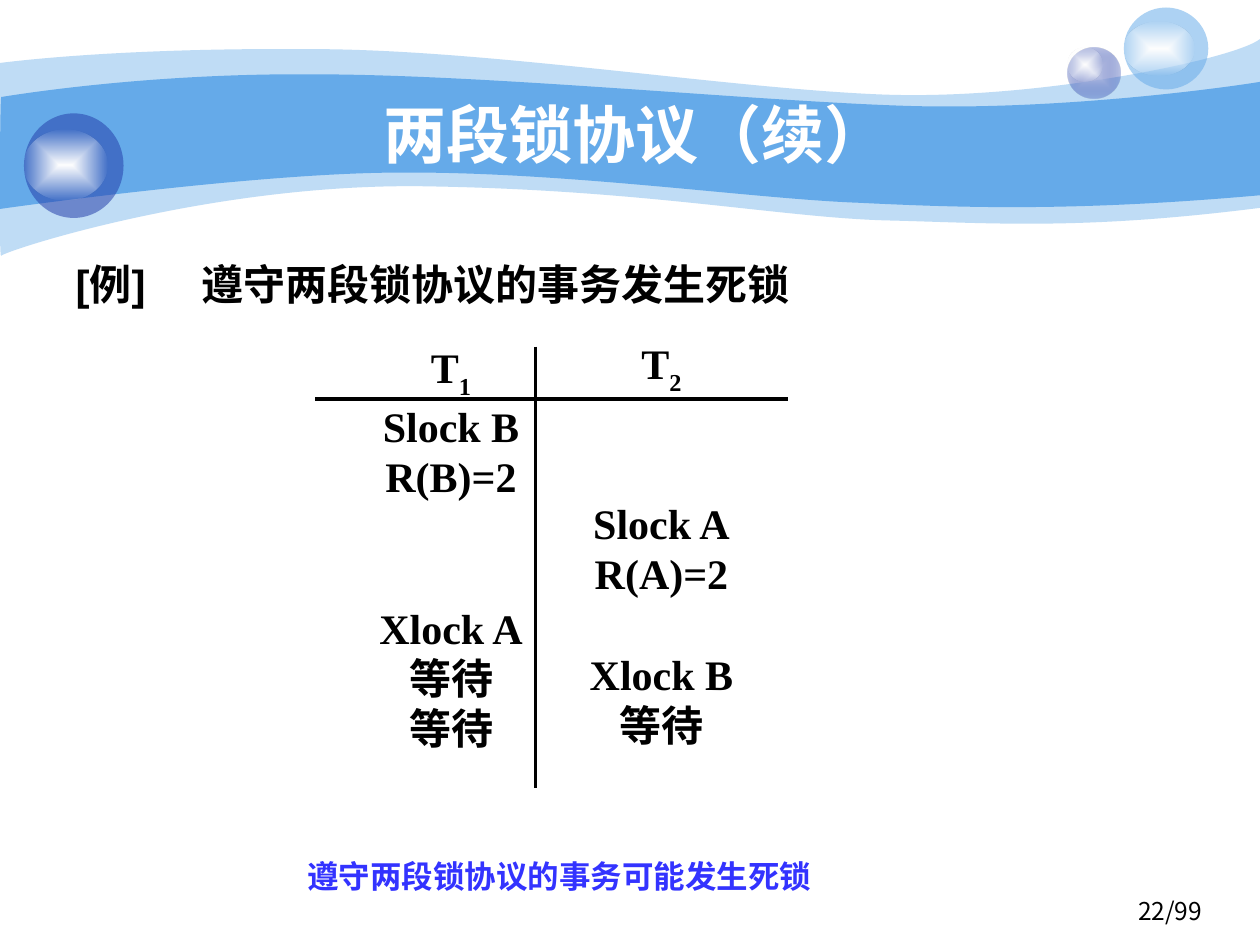
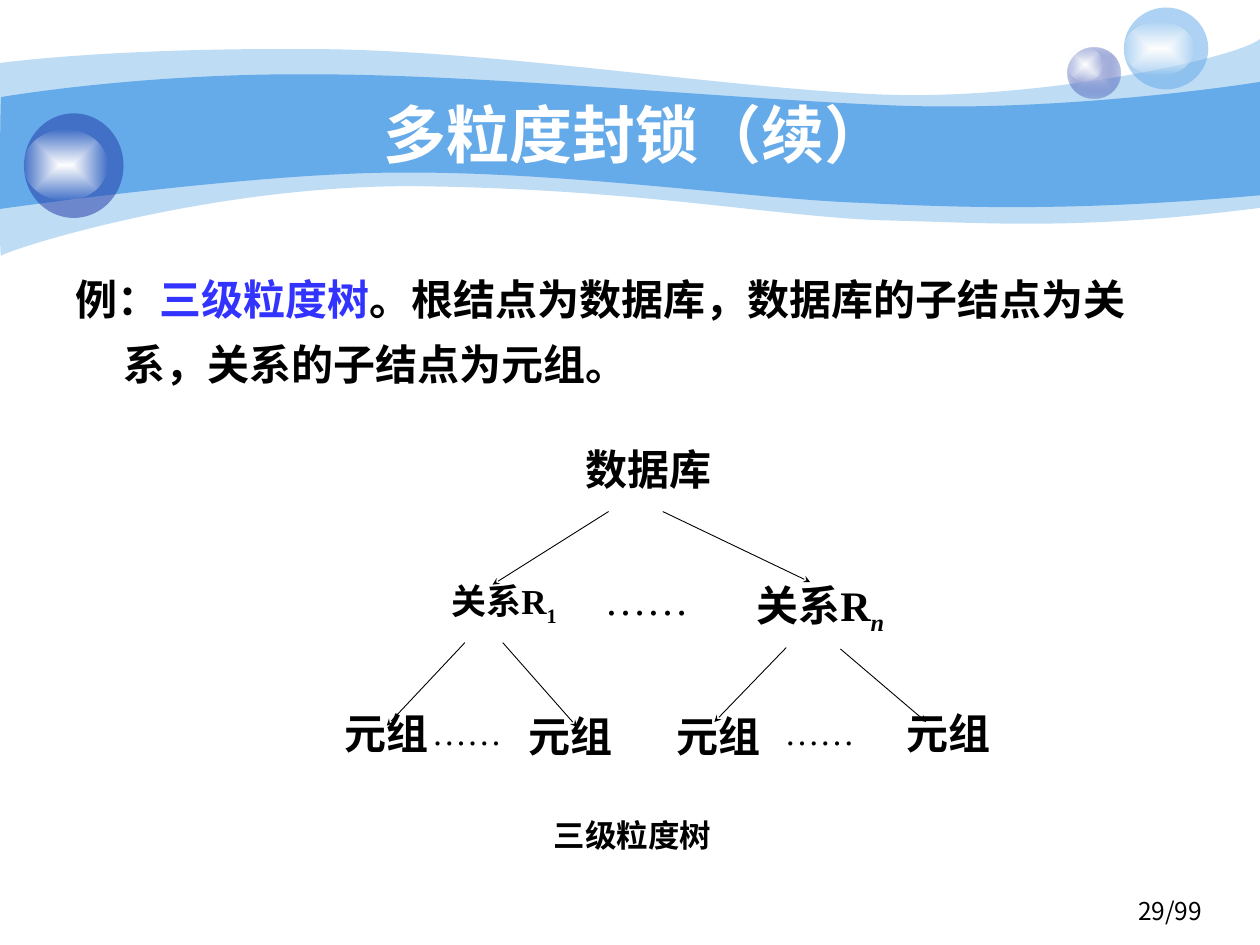
from lxml import etree
from pptx import Presentation
from pptx import util as u
from pptx.dml.color import RGBColor
from pptx.enum import shapes, text
from pptx.oxml import parse_xml
from pptx.oxml.ns import nsdecls, qn

SKY = RGBColor(0x65, 0xAA, 0xE9)
NAVY = RGBColor(0x23, 0x3D, 0xA9)
PALE = RGBColor(0xC7, 0xCE, 0xE9)
BLUE = RGBColor(0x33, 0x33, 0xFF)
WHITE = RGBColor(0xFF, 0xFF, 0xFF)
BLACK = RGBColor(0, 0, 0)
SANS, SERIF, HAN = "Arial", "Times New Roman", "Noto Sans CJK SC"
LEFT, MID, RIGHT = text.PP_ALIGN.LEFT, text.PP_ALIGN.CENTER, text.PP_ALIGN.RIGHT
PITCH = 28.8
UNITS = 1000

WAVE = [[(0, 0.5)],
        [(0.24, 0.47), (1.07, 0.38), (2.47, 0.39)],
        [(3.86, 0.39), (5.75, 0.7), (6.99, 0.75)],
        [(8.22, 0.8), (9.8, 0.47), (10, 0.31)],
        [(10, 1.65)],
        [(8.58, 1.83), (7.87, 1.77), (7.05, 1.75)],
        [(6.22, 1.73), (5.15, 1.51), (3.43, 1.48)],
        [(1.72, 1.44), (0.04, 1.99), (0.01, 2.03)],
        [(-0.01, 2.08), (0, 0.75), (0, 0.5)]]
BAND = [[(0.01, 0.77)],
        [(0.02, 0.77), (1.1, 0.58), (2.48, 0.59)],
        [(3.86, 0.59), (5.95, 0.8), (7.18, 0.84)],
        [(8.41, 0.88), (9.76, 0.69), (10, 0.65)],
        [(10, 1.55)],
        [(8.53, 1.68), (7.65, 1.65), (6.82, 1.61)],
        [(5.99, 1.58), (4.47, 1.36), (3.17, 1.37)],
        [(2.03, 1.37), (-0.02, 1.66), (-0.01, 1.66)],
        [(0, 1.66), (0, 0.77), (0.01, 0.77)]]


def inch(box):
    return [u.Inches(v) for v in box]


def plain(shape, tint, alpha=100):
    shape.shadow.inherit = False
    shape.line.fill.background()
    shape.fill.solid()
    shape.fill.fore_color.rgb = tint
    if alpha < 100:
        hue = shape._element.spPr.find(qn("a:solidFill"))[0]
        etree.SubElement(hue, qn("a:alpha"), val=str(alpha * 1000))


def glow(shape, core, rim, alpha):
    plain(shape, rim)
    old = shape._element.spPr.find(qn("a:solidFill"))
    new = parse_xml(
        f'<a:gradFill {nsdecls("a")} rotWithShape="1"><a:gsLst>'
        f'<a:gs pos="0"><a:srgbClr val="{core}"/></a:gs>'
        f'<a:gs pos="100000"><a:srgbClr val="{rim}"><a:alpha val="{alpha * 1000}"/>'
        '</a:srgbClr></a:gs></a:gsLst><a:path path="rect">'
        '<a:fillToRect l="50000" t="50000" r="50000" b="50000"/></a:path></a:gradFill>')
    old.getparent().replace(old, new)


def curve(slide, parts, alpha):
    parts = [[(round(x * UNITS), round(y * UNITS)) for x, y in part] for part in parts]
    ends = [part[-1] for part in parts]
    pen = slide.shapes.build_freeform(*ends[0], scale=u.Inches(1) / UNITS)
    pen.add_line_segments(ends[1:], close=True)
    shape = pen.convert_to_shape()
    x0, y0 = (min(axis) for axis in zip(*ends))
    lines = list(shape._element.iter(qn("a:lnTo")))
    for line, part in zip(lines, parts[1:]):
        if len(part) == 3:
            bend = etree.Element(qn("a:cubicBezTo"))
            for x, y in part:
                etree.SubElement(bend, qn("a:pt"), x=str(x - x0), y=str(y - y0))
            line.getparent().replace(line, bend)
    plain(shape, SKY, alpha)
    return shape


def ball(slide, box):
    return slide.shapes.add_shape(shapes.MSO_SHAPE.OVAL, *inch(box))


def decor(slide, layout):
    parts = [curve(slide, WAVE, 41), curve(slide, BAND, 100)]
    bead = ball(slide, (8.47, 0.38, 0.42, 0.4))
    glow(bead, PALE, NAVY, 31)
    parts.append(bead)
    shine = [(8.47, 0.38, 0.28, 0.27)]
    for box, tint, spot in (((8.92, 0.06, 0.67, 0.65), SKY, (8.92, 0.17, 0.56, 0.43)),
                            ((0.19, 0.9, 0.79, 0.83), NAVY, (0.19, 1.03, 0.66, 0.56))):
        orb = ball(slide, box)
        plain(orb, tint, 53)
        parts.append(orb)
        shine.append(spot)
    for box in shine:
        spot = ball(slide, box)
        glow(spot, WHITE, WHITE, 0)
        parts.append(spot)
    for i, part in enumerate(parts):
        part._element.nvSpPr.cNvPr.set("id", str(100 + i))
        layout.shapes._spTree.append(part._element)


def style(run, size, face=SERIF, tint=BLACK, bold=True, base=0):
    font = run.font
    font.size, font.name, font.bold = u.Pt(size), face, bold
    font.color.rgb = tint
    han = SERIF if "…" in run.text else HAN
    etree.SubElement(run._r.get_or_add_rPr(), qn("a:ea"), typeface=han)
    if base:
        run._r.get_or_add_rPr().set("baseline", str(base * 1000))


def label(slide, box, words, size, align=MID, sub="", base=-25, lead=None, **look):
    shape = slide.shapes.add_textbox(*inch(box))
    frame = shape.text_frame
    frame.word_wrap = True
    frame.text = words
    para = frame.paragraphs[0]
    para.alignment = align
    if lead:
        para.line_spacing = lead
    style(para.runs[0], size, **look)
    if sub:
        run = para.add_run()
        run.text = sub
        style(run, size, base=base, **look)
        run.font.italic = sub.isalpha()
    return frame


def place(holder, box):
    holder.left, holder.top, holder.width, holder.height = inch(box)
    frame = holder.text_frame
    frame.auto_size = text.MSO_AUTO_SIZE.NONE
    return frame


def page(deck, layout, title, num):
    slide = deck.slides.add_slide(layout)
    frame = place(slide.shapes.title, (1, 0.75, 8.08, 0.62))
    frame.text = title
    frame.vertical_anchor = text.MSO_ANCHOR.MIDDLE
    frame.paragraphs[0].alignment = MID
    style(frame.paragraphs[0].runs[0], 36, SANS, WHITE)
    label(slide, (7.31, 7.06, 2.33, 0.39), f"{num}/99", 14, RIGHT, face=HAN, bold=False)
    return slide


def body(slide, parts, hang=0, tab=0, lead=1.0):
    frame = place(slide.placeholders[1], (0.5, 2, 9, 4.92))
    para = frame.paragraphs[0]
    props = para._p.get_or_add_pPr()
    props.set("marL", str(u.Inches(hang)))
    props.set("indent", str(-u.Inches(hang)))
    props.set("hangingPunct", "0")
    etree.SubElement(props, qn("a:buNone"))
    if tab:
        stops = etree.SubElement(props, qn("a:tabLst"))
        etree.SubElement(stops, qn("a:tab"), pos=str(u.Inches(tab)), algn="l")
    para.alignment = LEFT
    para.space_before = u.Pt(0)
    para.line_spacing = lead
    for words, tint in parts:
        run = para.add_run()
        run.text = words
        style(run, 24, SANS, tint)


def rule(slide, start, end, width, arrow=False):
    line = slide.shapes.add_connector(shapes.MSO_CONNECTOR.STRAIGHT, *inch(start + end))
    line.line.color.rgb = BLACK
    line.line.width = u.Pt(width)
    if arrow:
        etree.SubElement(line.line._get_or_add_ln(), qn("a:tailEnd"),
                         type="stealth", w="sm", len="sm")
    etree.SubElement(line._element.spPr, qn("a:effectLst"))


def column(slide, box, sub, steps):
    frame = label(slide, box, "T", 24, sub=sub, base=-30, lead=u.Pt(PITCH))
    for blanks, words in steps:
        para = frame.add_paragraph()
        para.text = words
        para.alignment = MID
        para.line_spacing = u.Pt(PITCH)
        para.space_before = u.Pt(PITCH * blanks)
        style(para.runs[0], 24)


def locks(slide, x, y):
    column(slide, (x + 0.41, y - 0.02, 1.34, 3.5), "1",
           [(0, "Slock B"), (0, "R(B)=2"), (2, "Xlock A"), (0, "等待"), (0, "等待")])
    column(slide, (x + 2.08, y - 0.05, 1.34, 3.5), "2",
           [(2, "Slock A"), (0, "R(A)=2"), (1, "Xlock B"), (0, "等待")])
    rule(slide, (x, y + 0.42), (x + 3.75, y + 0.42), 2.25)
    rule(slide, (x + 1.75, y), (x + 1.75, y + 3.5), 2.25)


def tree(slide, x, y):
    for a, b, c, d in ((2.33, 0.56, 1.41, 1.14), (2.76, 0.56, 3.93, 1.12),
                       (1.19, 1.6, 0.57, 2.26), (1.49, 1.6, 2.08, 2.27),
                       (3.74, 1.64, 3.17, 2.23), (4.17, 1.65, 4.85, 2.23)):
        rule(slide, (x + a, y + b), (x + c, y + d), 0.5, True)
    for left, top, wide, words, sub, size in (
            (1.93, 0, 1.44, "数据库", "", 24),
            (0.66, 1.05, 1.68, "关系R", "1", 20), (3.28, 1.05, 1.46, "关系R", "n", 24),
            (0, 2.09, 1.14, "元组", "", 24), (1.46, 2.12, 1.14, "元组", "", 24),
            (2.63, 2.12, 1.14, "元组", "", 24), (4.31, 2.09, 1.44, "元组", "", 24)):
        label(slide, (x + left, y + top, wide, 0.6), words, size, sub=sub, lead=0.96)
    for left, top, size in ((2.2, 1.05, 24), (0.83, 2.13, 20), (3.63, 2.13, 20)):
        label(slide, (x + left, y + top, 1.2, 0.48), "……", size, LEFT, lead=0.9, bold=False)


def main():
    deck = Presentation()
    deck.slide_width, deck.slide_height = inch((10, 7.5))
    layout = deck.slide_layouts[1]

    slide = page(deck, layout, "两段锁协议（续）", 22)
    decor(slide, layout)
    body(slide, [("[例]\t遵守两段锁协议的事务发生死锁", BLACK)], tab=0.96)
    locks(slide, 2.5, 2.75)
    label(slide, (1.94, 6.75, 5, 0.4), "遵守两段锁协议的事务可能发生死锁", 18, tint=BLUE)

    slide = page(deck, layout, "多粒度封锁（续）", 29)
    body(slide, [("例：", BLACK), ("三级粒度树", BLUE),
                 ("。根结点为数据库，数据库的子结点为关系，关系的子结点为元组。", BLACK)],
         hang=0.38, lead=1.3)
    tree(slide, 2.5, 3.5)
    label(slide, (3.92, 6.43, 2.2, 0.4), "三级粒度树", 18)

    deck.save("out.pptx")


if __name__ == "__main__":
    main()
